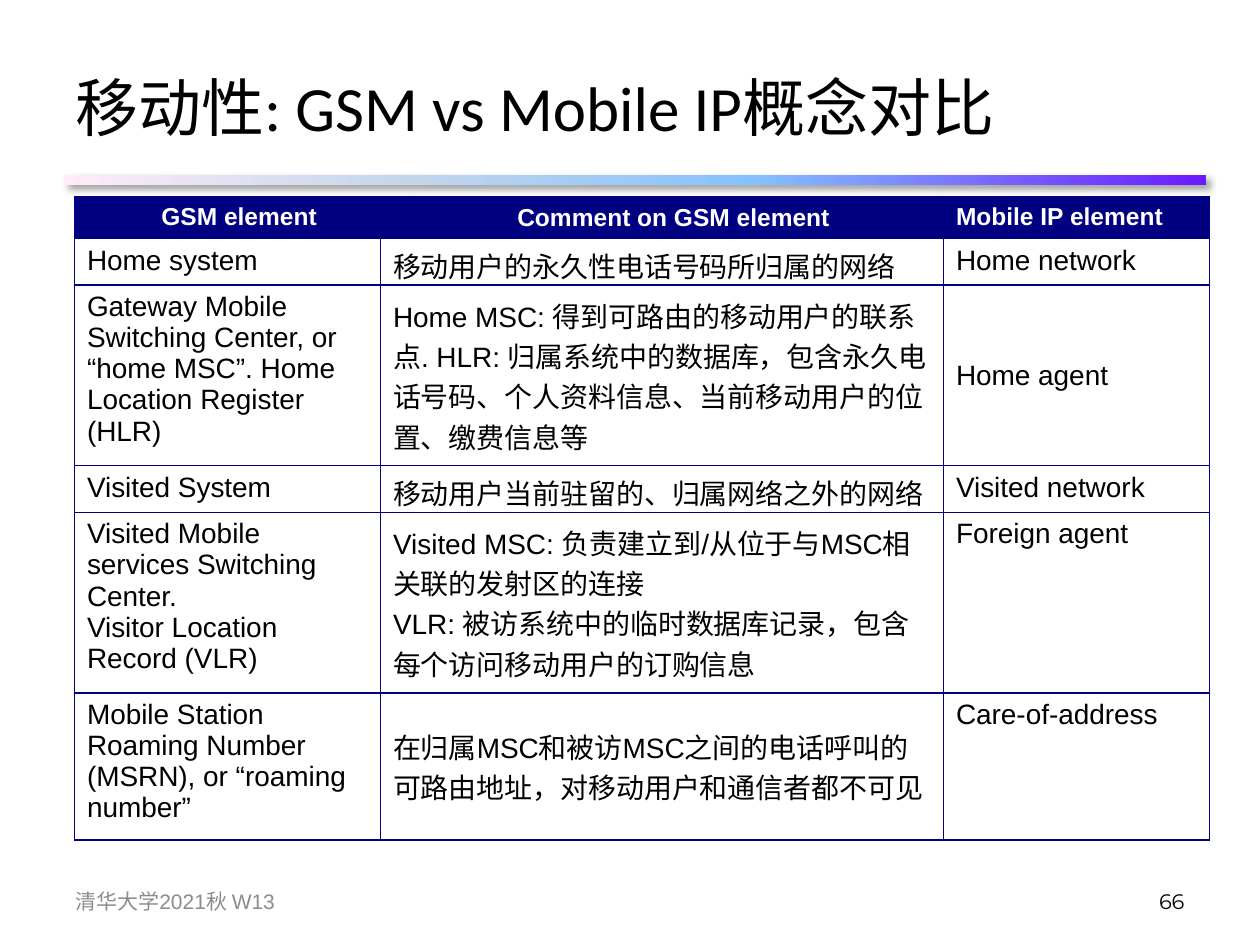
from lxml.etree import SubElement
from pptx import Presentation
from pptx.dml.color import RGBColor
from pptx.enum.shapes import MSO_SHAPE
from pptx.enum.text import MSO_ANCHOR, PP_ALIGN
from pptx.oxml import parse_xml
from pptx.oxml.ns import nsdecls, qn
from pptx.util import Cm, Pt

NAVY = "000080"
BLACK = "000000"
COLUMN_WIDTHS = [6.17, 0.51, 10.74, 5.36]
ROW_HEIGHTS = [0.84, 0.94, 3.63, 0.94, 3.63, 2.97]
HEADINGS = ["GSM element ", "Comment on GSM element ", "Mobile IP element"]
CONCEPTS = [
    ("Home system", "移动用户的永久性电话号码所归属的网络", "Home network"),
    ("Gateway Mobile Switching Center, or “home MSC”. Home Location Register (HLR)",
     "Home MSC: 得到可路由的移动用户的联系点. HLR: 归属系统中的数据库，包含永久电话号码、"
     "个人资料信息、当前移动用户的位置、缴费信息等",
     "Home agent"),
    ("Visited System", "移动用户当前驻留的、归属网络之外的网络", "Visited network"),
    ("Visited Mobile services Switching Center.\nVisitor Location Record (VLR)",
     "Visited MSC: 负责建立到/从位于与MSC相关联的发射区的连接\n"
     "VLR: 被访系统中的临时数据库记录，包含每个访问移动用户的订购信息",
     "Foreign agent"),
    ("Mobile Station Roaming Number (MSRN), or “roaming number”",
     "在归属MSC和被访MSC之间的电话呼叫的可路由地址，对移动用户和通信者都不可见",
     "Care-of-address"),
]


def color(value):
    return RGBColor.from_string(value)


def write(frame, text, size=16, font="Arial", fill=BLACK, bold=False, align=PP_ALIGN.LEFT):
    for index, line in enumerate(text.split("\n")):
        para = frame.add_paragraph() if index else frame.paragraphs[0]
        para.alignment = align
        span = para.add_run()
        span.text = line
        span.font.size = Pt(size)
        span.font.name = font
        span.font.bold = bold
        span.font.color.rgb = color(fill)


def add_text(page, left, top, width, height, text, **style):
    box = page.shapes.add_textbox(Cm(left), Cm(top), Cm(width), Cm(height))
    box.text_frame.word_wrap = True
    box.text_frame.vertical_anchor = MSO_ANCHOR.MIDDLE
    write(box.text_frame, text, **style)


def add_rule(page, left, top, width, height):
    bar = page.shapes.add_shape(MSO_SHAPE.RECTANGLE, Cm(left), Cm(top), Cm(width), Cm(height))
    bar.shadow.inherit = False
    bar.line.fill.background()
    bar.fill.gradient()
    bar.fill.gradient_angle = 180
    properties = bar.element.spPr
    stops = properties.find(qn("a:gradFill")).find(qn("a:gsLst"))
    for stop in list(stops):
        stops.remove(stop)
    for position, tint in [(0, "6B19FF"), (40, "85C2FF"), (70, "C4D6EB"), (100, "FFEBFA")]:
        stop = SubElement(stops, qn("a:gs"), pos=str(position * 1000))
        SubElement(stop, qn("a:srgbClr"), val=tint)
    shadow = SubElement(properties.find(qn("a:effectLst")), qn("a:outerShdw"),
                        blurRad=str(Pt(4)), dist=str(Pt(3)), dir=str(45 * 60000),
                        algn="tl", rotWithShape="0")
    shade = SubElement(shadow, qn("a:srgbClr"), val=BLACK)
    SubElement(shade, qn("a:alpha"), val="40000")


def add_borders(cell, tint, width):
    properties = cell._tc.get_or_add_tcPr()
    for index, side in enumerate("LRTB"):
        properties.insert(index, parse_xml(
            f'<a:ln{side} {nsdecls("a")} w="{Pt(width)}"><a:solidFill>'
            f'<a:srgbClr val="{tint}"/></a:solidFill></a:ln{side}>'))


def add_concept_table(page, left, top):
    frame = page.shapes.add_table(
        len(ROW_HEIGHTS), len(COLUMN_WIDTHS), Cm(left), Cm(top),
        Cm(sum(COLUMN_WIDTHS)), Cm(sum(ROW_HEIGHTS)))
    table = frame.table
    for column, width in zip(table.columns, COLUMN_WIDTHS):
        column.width = Cm(width)
    for row, height in zip(table.rows, ROW_HEIGHTS):
        row.height = Cm(height)
    for cell in table.iter_cells():
        cell.fill.background()
        add_borders(cell, NAVY, 1)

    table.cell(0, 0).merge(table.cell(0, 1))
    for index, heading in zip((0, 2, 3), HEADINGS):
        cell = table.cell(0, index)
        cell.fill.solid()
        cell.fill.fore_color.rgb = color(NAVY)
        cell.vertical_anchor = MSO_ANCHOR.MIDDLE if index == 2 else MSO_ANCHOR.TOP
        write(cell.text_frame, heading, size=14, fill="FFFFFF", bold=True,
              align=PP_ALIGN.LEFT if index == 3 else PP_ALIGN.CENTER)

    for number, concept in enumerate(CONCEPTS, start=1):
        table.cell(number, 1).merge(table.cell(number, 2))
        for index, text in zip((0, 1, 3), concept):
            cell = table.cell(number, index)
            centred = index == 1 or text == "Home agent"
            cell.vertical_anchor = MSO_ANCHOR.MIDDLE if centred else MSO_ANCHOR.TOP
            write(cell.text_frame, text)


def add_footer(page, left, top, width, height):
    part = 5.92
    add_text(page, left, top, part, height, "清华大学2021秋 W13", size=12, fill="8C8C8C")
    add_text(page, left + width - part, top, part, height, "66",
             size=12, font="Montserrat", align=PP_ALIGN.RIGHT)


def main():
    deck = Presentation()
    deck.slide_width, deck.slide_height = Cm(25.4), Cm(19.05)
    page = deck.slides.add_slide(deck.slide_layouts[6])
    add_rule(page, 1.3, 3.53, 23.01, 0.2)
    add_text(page, 1.27, 0.76, 22.86, 2.77, "移动性: GSM vs Mobile IP概念对比",
             size=36, font="Calibri")
    add_concept_table(page, 1.5, 3.96)
    add_footer(page, 1.27, 17.65, 22.86, 1.02)
    deck.save("out.pptx")


if __name__ == "__main__":
    main()
